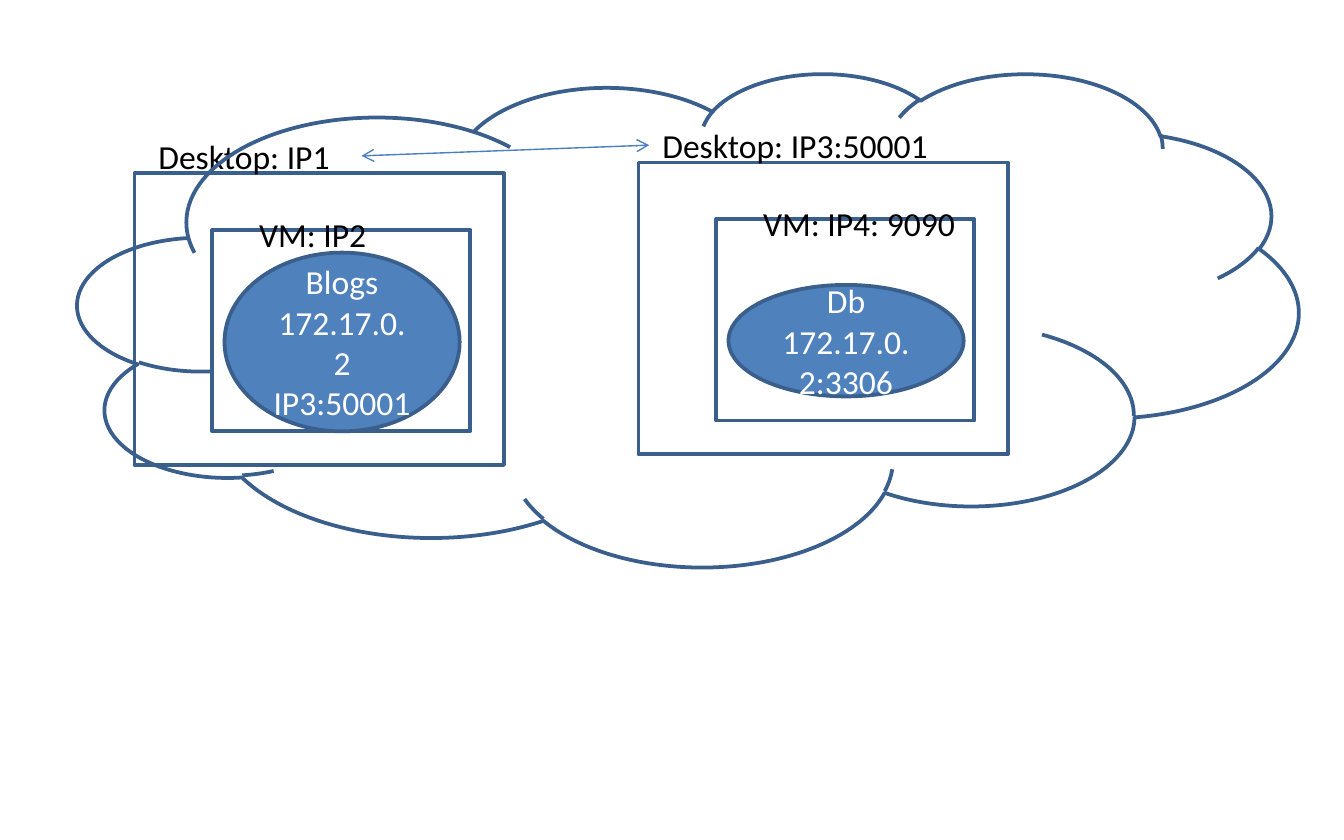
from dataclasses import dataclass

from lxml import etree
from pptx import Presentation
from pptx.dml.color import RGBColor
from pptx.enum.shapes import MSO_CONNECTOR, MSO_SHAPE
from pptx.enum.text import MSO_ANCHOR, MSO_AUTO_SIZE, PP_ALIGN
from pptx.oxml.ns import qn
from pptx.util import Inches, Pt

RECT, OVAL, CLOUD = MSO_SHAPE.RECTANGLE, MSO_SHAPE.OVAL, MSO_SHAPE.CLOUD
STRAIGHT = MSO_CONNECTOR.STRAIGHT
LEFT, CENTER = PP_ALIGN.LEFT, PP_ALIGN.CENTER
MIDDLE = MSO_ANCHOR.MIDDLE
GROW = MSO_AUTO_SIZE.SHAPE_TO_FIT_TEXT


@dataclass(frozen=True)
class Theme:
    fill: RGBColor = RGBColor(0x4F, 0x81, 0xBD)
    edge: RGBColor = RGBColor(0x3A, 0x5F, 0x8C)
    link: RGBColor = RGBColor(0x4B, 0x7E, 0xBC)
    dark: RGBColor = RGBColor(0, 0, 0)
    light: RGBColor = RGBColor(255, 255, 255)
    font: str = "Calibri"
    size: int = 18
    wide: float = 2
    thin: float = 0.75


THEME = Theme()


def write(frame, lines, color=THEME.dark, align=LEFT):
    """Put each line in its own paragraph."""
    for i, line in enumerate(lines):
        para = frame.paragraphs[0] if i == 0 else frame.add_paragraph()
        para.alignment = align
        run = para.add_run()
        run.text = line
        run.font.name = THEME.font
        run.font.size = Pt(THEME.size)
        run.font.color.rgb = color


def add_box(slide, kind, x, y, w, h, fill=None):
    shape = slide.shapes.add_shape(kind, Inches(x), Inches(y), Inches(w), Inches(h))
    shape.shadow.inherit = False
    if fill is None:
        shape.fill.background()
    else:
        shape.fill.solid()
        shape.fill.fore_color.rgb = fill
    shape.line.color.rgb = THEME.edge
    shape.line.width = Pt(THEME.wide)
    return shape


def add_label(slide, text, x, y, w):
    box = slide.shapes.add_textbox(Inches(x), Inches(y), Inches(w), Inches(0.4))
    frame = box.text_frame
    frame.word_wrap = False
    frame.auto_size = GROW
    write(frame, [text])


def add_pod(slide, lines, x, y, h):
    oval = add_box(slide, OVAL, x, y, 1.75, h, THEME.fill)
    oval.text_frame.vertical_anchor = MIDDLE
    write(oval.text_frame, lines, color=THEME.light, align=CENTER)


def add_host(slide, x, y, host, vm, pod, drop, height):
    """Nest a VM and its pod in a host; host and vm are (text, width)."""
    add_box(slide, RECT, x, y, 2.75, 2.17)
    add_label(slide, host[0], x + 0.08, y - 0.33, host[1])
    add_box(slide, RECT, x + 0.58, y + 0.42, 1.92, 1.5)
    add_label(slide, vm[0], x + 0.83, y + 0.25, vm[1])
    add_pod(slide, pod, x + 0.67, y + drop, height)


def add_arrow(slide, x1, y1, x2, y2):
    """Draw a thin line with an open head at both ends."""
    line = slide.shapes.add_connector(
        STRAIGHT, Inches(x1), Inches(y1), Inches(x2), Inches(y2))
    line.line.color.rgb = THEME.link
    line.line.width = Pt(THEME.thin)
    for end in ("a:headEnd", "a:tailEnd"):
        etree.SubElement(line.line._get_or_add_ln(), qn(end), type="arrow")
    etree.SubElement(line._element.spPr, qn("a:effectLst"))


def main():
    deck = Presentation()
    deck.slide_width, deck.slide_height = Inches(10), Inches(6.25)
    slide = deck.slides.add_slide(deck.slide_layouts[6])
    add_host(slide, 1, 1.29, ("Desktop: IP1", 1.61), ("VM: IP2", 1.01),
             ["Blogs", "172.17.0.2", "IP3:50001"], drop=0.59, height=1.33)
    add_host(slide, 4.75, 1.21, ("Desktop: IP3:50001", 2.31), ("VM: IP4: 9090", 1.65),
             ["Db", "172.17.0.2:3306"], drop=0.91, height=0.83)
    add_box(slide, CLOUD, 0.58, 0.54, 9.08, 3.67)
    add_arrow(slide, 2.69, 1.16, 4.83, 1.08)
    deck.save("out.pptx")


if __name__ == "__main__":
    main()
